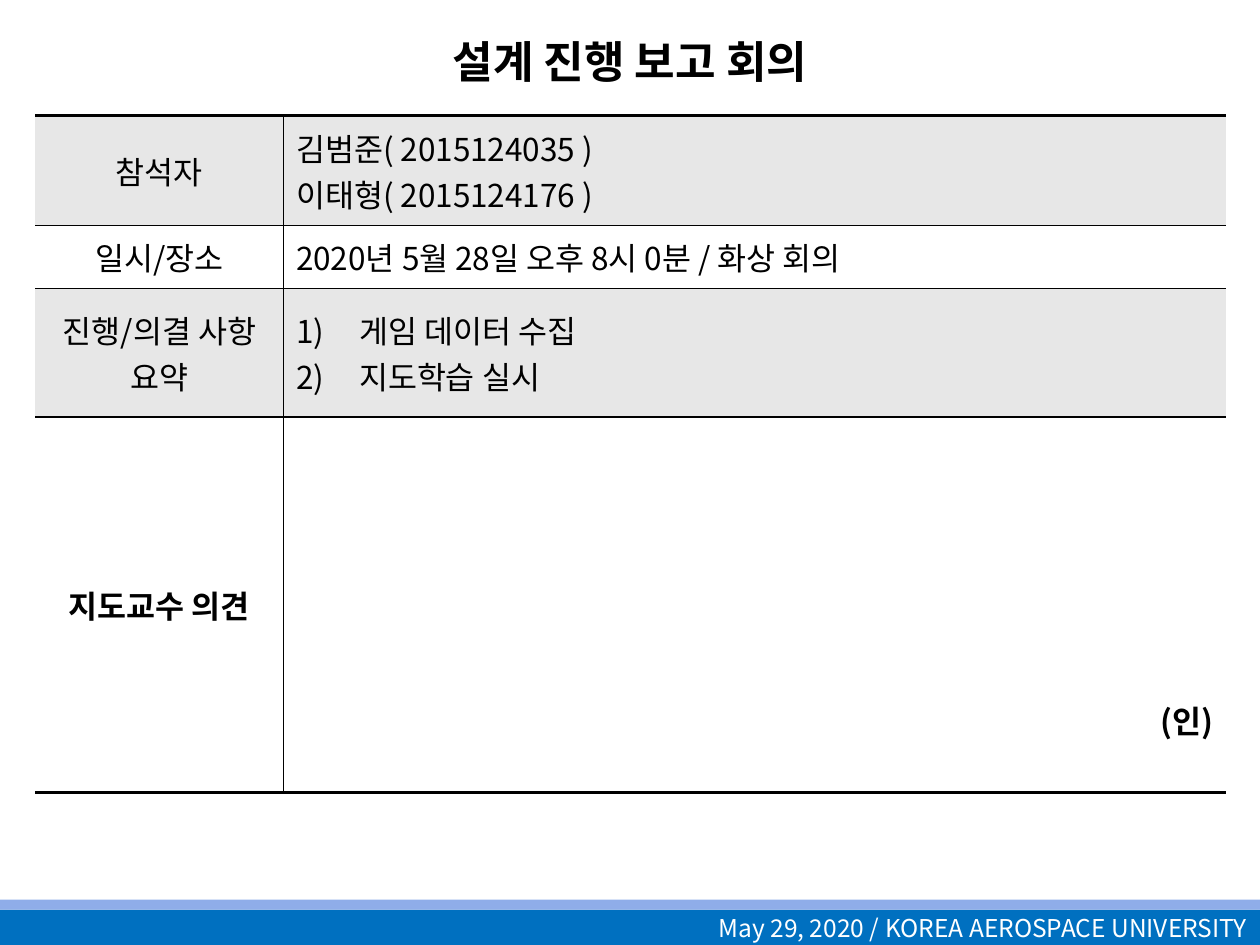
from dataclasses import dataclass

from lxml.etree import SubElement
from pptx import Presentation
from pptx.dml.color import RGBColor
from pptx.enum.shapes import MSO_SHAPE as Shape
from pptx.enum.text import MSO_ANCHOR as Anchor, PP_ALIGN as Align
from pptx.oxml import parse_xml
from pptx.oxml.ns import nsdecls, qn
from pptx.util import Inches, Pt


@dataclass(frozen=True)
class Theme:
    font: str = "Noto Sans CJK KR"
    ink: str = "000000"
    paper: str = "FFFFFF"
    band: str = "E7E7E7"
    blue: str = "0070C0"
    pale_blue: str = "8FADE9"
    title_size: float = 25.2
    body_size: float = 18
    footer_size: float = 14
    rule: float = 1
    heavy_rule: float = 2


THEME = Theme()

# Label, lines, row height, numbered
ROWS = [
    ("참석자", ["김범준( 2015124035 )", "이태형( 2015124176 )"], 0.87, False),
    ("일시/장소", ["2020년 5월 28일 오후 8시 0분 / 화상 회의"], 0.5, False),
    ("진행/의결 사항 요약", ["게임 데이터 수집", "지도학습 실시"], 1.02, True),
    ("지도교수 의견", ["(인)"], 2.98, False),
]


def rgb(value):
    return RGBColor.from_string(value)


def add_text(paragraph, text, size, color=THEME.ink, bold=False, align=Align.LEFT):
    paragraph.alignment = align
    run = paragraph.add_run()
    run.text = text
    run.font.size = Pt(size)
    run.font.bold = bold
    run.font.name = THEME.font
    run.font.color.rgb = rgb(color)
    SubElement(run.font._element, qn("a:ea")).set("typeface", THEME.font)


def number_paragraph(paragraph):
    properties = paragraph._p.get_or_add_pPr()
    properties.set("marL", str(Inches(0.5)))
    properties.set("indent", str(Inches(-0.5)))
    SubElement(properties, qn("a:buFont")).set("typeface", THEME.font)
    SubElement(properties, qn("a:buAutoNum")).set("type", "arabicParenR")


def set_borders(cell, **widths):
    """Draw the four sides in points; a width of 0 hides the side."""
    properties = cell._tc.get_or_add_tcPr()
    for position, side in enumerate("LRTB"):
        width = widths[side]
        paint = (f'<a:solidFill><a:srgbClr val="{THEME.ink}"/></a:solidFill>'
                 if width else "<a:noFill/>")
        line = parse_xml(f'<a:ln{side} {nsdecls("a")} w="{Pt(width)}">{paint}</a:ln{side}>')
        properties.insert(position, line)


def add_bar(slide, left, top, width, height, color):
    bar = slide.shapes.add_shape(Shape.RECTANGLE, left, top, width, height)
    bar.shadow.inherit = False
    bar.fill.solid()
    bar.fill.fore_color.rgb = rgb(color)
    bar.line.fill.background()
    return bar


def add_footer(slide, left, top, width, height):
    stripe = Inches(0.08)
    # Date and school bar
    school = add_bar(slide, left, top + stripe, width, height - stripe, THEME.blue)
    frame = school.text_frame
    frame.word_wrap = True
    frame.vertical_anchor = Anchor.MIDDLE
    frame.margin_top = frame.margin_bottom = 0
    add_text(frame.paragraphs[0], "May 29, 2020 / KOREA AEROSPACE UNIVERSITY",
             THEME.footer_size, THEME.paper, align=Align.RIGHT)
    # Pale stripe above it
    add_bar(slide, left, top, width, stripe, THEME.pale_blue)


def add_title(slide, left, top, width, height):
    title = slide.shapes.title
    title.left, title.top, title.width, title.height = left, top, width, height
    title.text_frame.vertical_anchor = Anchor.MIDDLE
    add_text(title.text_frame.paragraphs[0], "설계 진행 보고 회의",
             THEME.title_size, bold=True, align=Align.CENTER)


def add_minutes(slide, left, top, width, height):
    minutes = slide.shapes.add_table(len(ROWS), 2, left, top, width, height).table
    minutes.first_row = minutes.horz_banding = False
    label_width = Inches(1.97)
    minutes.columns[0].width = label_width
    minutes.columns[1].width = width - label_width

    last = len(ROWS) - 1
    for index, (label, lines, row_height, numbered) in enumerate(ROWS):
        minutes.rows[index].height = Inches(row_height)
        bold = index == last
        for column in range(2):
            cell = minutes.cell(index, column)
            cell.vertical_anchor = Anchor.MIDDLE
            cell.fill.solid()
            cell.fill.fore_color.rgb = rgb(THEME.paper if index % 2 else THEME.band)
            set_borders(cell,
                        L=THEME.rule if column else 0,
                        R=0 if column else THEME.rule,
                        T=THEME.rule if index else THEME.heavy_rule,
                        B=THEME.heavy_rule if index == last else THEME.rule)

        label_cell, content = minutes.cell(index, 0), minutes.cell(index, 1)
        add_text(label_cell.text_frame.paragraphs[0], label, THEME.body_size,
                 bold=bold, align=Align.CENTER)
        frame = content.text_frame
        for number, line in enumerate(lines):
            paragraph = frame.add_paragraph() if number else frame.paragraphs[0]
            add_text(paragraph, line, THEME.body_size, bold=bold,
                     align=Align.RIGHT if bold else Align.LEFT)
            if numbered:
                number_paragraph(paragraph)

    # The seal mark sits low in the professor's row
    seal = minutes.cell(last, 1)
    seal.vertical_anchor = Anchor.BOTTOM
    seal.margin_bottom = Inches(0.4)


def main():
    deck = Presentation()
    deck.slide_width, deck.slide_height = Inches(10), Inches(7.5)
    slide = deck.slides.add_slide(deck.slide_layouts[5])
    add_footer(slide, 0, Inches(7.14), deck.slide_width, Inches(0.36))
    add_title(slide, Inches(0.75), Inches(0.21), Inches(8.5), Inches(0.55))
    add_minutes(slide, Inches(0.28), Inches(0.92), Inches(9.45), Inches(5.37))
    deck.save("out.pptx")


if __name__ == "__main__":
    main()
